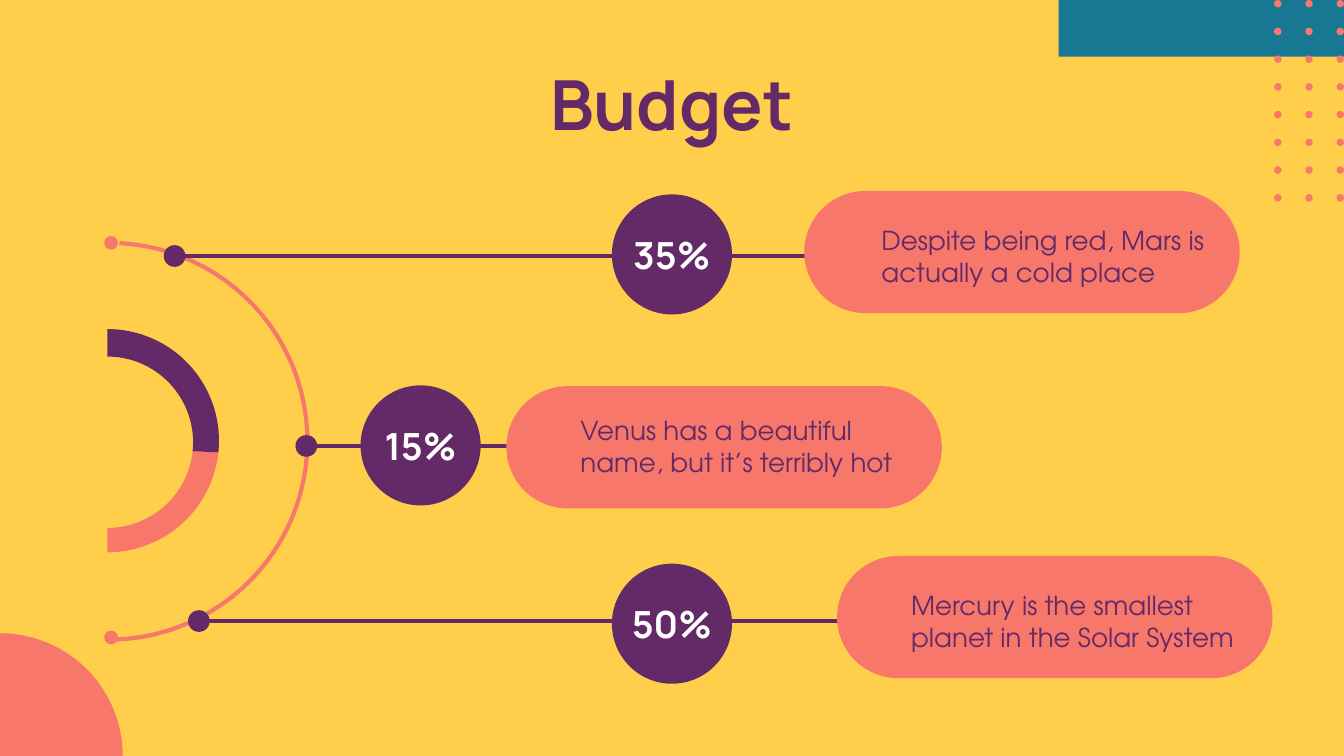
import math
from dataclasses import dataclass

from lxml import etree
from pptx import Presentation, util as u
from pptx.dml.color import RGBColor
from pptx.enum import shapes, text
from pptx.oxml.ns import qn

YELLOW = RGBColor(0xFF, 0xCE, 0x4B)
CORAL = RGBColor(0xF7, 0x78, 0x6B)
PURPLE = RGBColor(0x63, 0x2A, 0x67)
TEAL = RGBColor(0x18, 0x78, 0x94)
WHITE = RGBColor(0xFF, 0xFF, 0xFF)
HEADING = "Manrope"
BODY = "TeX Gyre Adventor"
OVAL = shapes.MSO_SHAPE.OVAL
Points = list[tuple[float, float]]


@dataclass
class Item:
    percent: str
    caption: str
    pin_x: float
    line_y: float
    badge_x: float
    badge_y: float
    pill_x: float
    pill_y: float
    caption_x: float


ITEMS = [
    Item("35%", "Despite being red, Mars is actually a cold place",
         3.3, 4.84, 12.7, 4.81, 15.2, 3.61, 16.41),
    Item("15%", "Venus has a beautiful name, but it’s terribly hot",
         5.79, 8.43, 7.95, 8.42, 9.57, 7.3, 10.72),
    Item("50%", "Mercury is the smallest planet in the Solar System",
         3.76, 11.74, 12.7, 11.79, 15.82, 10.51, 16.97),
]


def arc(cx: float, cy: float, r: float, start: int, end: int) -> Points:
    steps = 48
    angles = [math.radians(start + (end - start) * i / steps) for i in range(steps + 1)]
    return [(cx + r * math.cos(a), cy + r * math.sin(a)) for a in angles]


def add_outline(s, points: Points, closed: bool = True):
    emu = [(u.Cm(x), u.Cm(y)) for x, y in points]
    fb = s.shapes.build_freeform(*emu[0])
    fb.add_line_segments(emu[1:], close=closed)
    sp = fb.convert_to_shape()
    sp.shadow.inherit = False
    return sp


def paint(sp, color: RGBColor) -> None:
    sp.fill.solid()
    sp.fill.fore_color.rgb = color
    sp.line.fill.background()


def add_filled(s, kind, x: float, y: float, w: float, h: float, color: RGBColor):
    sp = s.shapes.add_shape(kind, u.Cm(x), u.Cm(y), u.Cm(w), u.Cm(h))
    sp.shadow.inherit = False
    paint(sp, color)
    return sp


def add_circle(s, cx: float, cy: float, d: float, color: RGBColor):
    return add_filled(s, OVAL, cx - d / 2, cy - d / 2, d, d, color)


def add_line(s, x1: float, x2: float, y: float) -> None:
    c = s.shapes.add_connector(shapes.MSO_CONNECTOR.STRAIGHT,
                               u.Cm(x1), u.Cm(y), u.Cm(x2), u.Cm(y))
    c.line.color.rgb = PURPLE
    c.line.width = u.Pt(2.25)
    etree.SubElement(c._element.spPr, qn("a:effectLst"))


def set_text(sp, words: str, font: str, size: float, color: RGBColor,
             bold: bool = False, center: bool = False, wrap: bool = True) -> None:
    tf = sp.text_frame
    tf.text = words
    tf.word_wrap = wrap
    tf.vertical_anchor = text.MSO_ANCHOR.MIDDLE
    p = tf.paragraphs[0]
    p.alignment = text.PP_ALIGN.CENTER if center else text.PP_ALIGN.LEFT
    f = p.runs[0].font
    f.name, f.size, f.bold = font, u.Pt(size), bold
    f.color.rgb = color


def add_box(s, x: float, y: float, w: float, h: float):
    return s.shapes.add_textbox(u.Cm(x), u.Cm(y), u.Cm(w), u.Cm(h))


def add_decor(s) -> None:
    paint(add_outline(s, arc(0, 14.29, 2.32, 180, 360)), CORAL)
    add_filled(s, shapes.MSO_SHAPE.RECTANGLE, 20.01, 0, 5.39, 1.07, TEAL)
    for col in range(3):
        for row in range(8):
            add_circle(s, 24.15 + 0.59 * col, 0.07 + 3.67 * row / 7, 0.14, CORAL)


def add_gauge(s) -> None:
    track = add_outline(s, arc(2.06, 8.34, 3.75, -87, 88), closed=False)
    track.fill.background()
    track.line.color.rgb = CORAL
    track.line.width = u.Pt(2.25)
    for y in (4.59, 12.05):
        add_circle(s, 2.1, y, 0.26, CORAL)
    for start, end, color in ((6, 90, CORAL), (-90, 6, PURPLE)):
        ring = arc(2.03, 8.33, 2.11, start, end) + arc(2.03, 8.36, 1.62, end, start)
        paint(add_outline(s, ring), color)


def add_item(s, item: Item) -> None:
    add_circle(s, item.pin_x, item.line_y, 0.41, PURPLE)
    add_line(s, item.pin_x, item.pill_x + 0.2, item.line_y)
    badge = add_circle(s, item.badge_x, item.badge_y, 2.27, PURPLE)
    set_text(badge, item.percent, HEADING, 20, WHITE, bold=True, center=True, wrap=False)
    pill = add_filled(s, shapes.MSO_SHAPE.ROUNDED_RECTANGLE,
                      item.pill_x, item.pill_y, 8.23, 2.31, CORAL)
    pill.adjustments[0] = 0.5
    caption = add_box(s, item.caption_x, item.line_y - 0.6, 6.65, 1.2)
    set_text(caption, item.caption, BODY, 14, PURPLE)


def main() -> None:
    prs = Presentation()
    prs.slide_width, prs.slide_height = u.Cm(25.4), u.Cm(14.29)
    s = prs.slides.add_slide(prs.slide_layouts[6])
    s.background.fill.solid()
    s.background.fill.fore_color.rgb = YELLOW
    add_decor(s)
    add_gauge(s)
    set_text(add_box(s, 0.86, 1.14, 23.67, 1.6), "Budget", HEADING, 37, PURPLE,
             bold=True, center=True)
    for item in ITEMS:
        add_item(s, item)
    prs.save("out.pptx")


if __name__ == "__main__":
    main()
